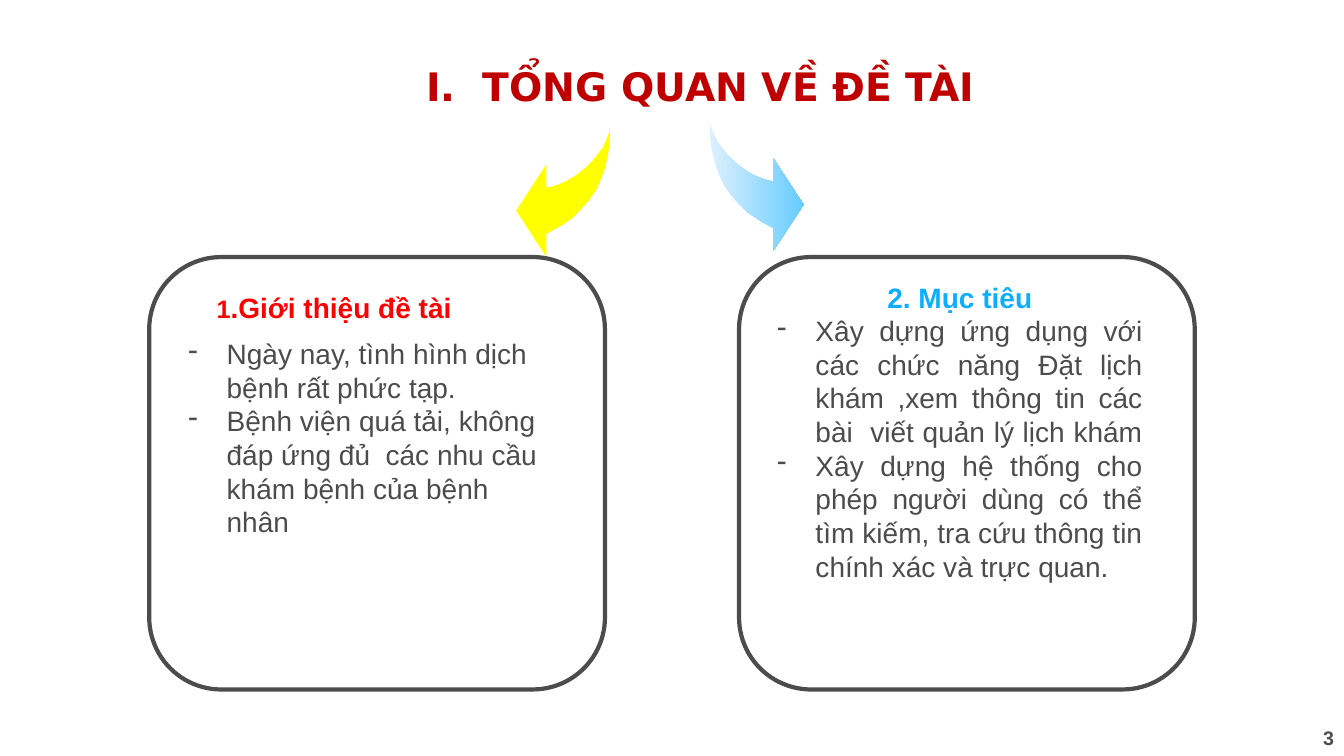
from lxml import etree
from pptx import Presentation
from pptx.dml.color import RGBColor
from pptx.enum.shapes import MSO_SHAPE
from pptx.enum.text import PP_ALIGN
from pptx.oxml.ns import qn
from pptx.util import Emu, Pt

LEFT, CENTER, RIGHT, JUSTIFY = PP_ALIGN.LEFT, PP_ALIGN.CENTER, PP_ALIGN.RIGHT, PP_ALIGN.JUSTIFY
ROUNDED = MSO_SHAPE.ROUNDED_RECTANGLE
PX = 9144  # 100 px to the inch
GREY, RED, DARK_RED, BLUE, YELLOW = "4C4C4C", "FF0000", "C00000", "0DAEFF", "FFFF00"

# Content
TITLE = "TỔNG QUAN VỀ ĐỀ TÀI"
PAGE_NUMBER = "3"
INTRO_HEADING = [("1", 18), (".Giới thiệu đề tài", 20)]
INTRO = [
    "Ngày nay, tình hình dịch bệnh rất phức tạp.",
    "Bệnh viện quá tải, không đáp ứng đủ  các nhu cầu khám bệnh của bệnh nhân",
]
GOALS_HEADING = [("2. Mục tiêu", 20)]
GOALS = [
    "Xây dựng ứng dụng với các chức năng Đặt lịch khám ,xem thông tin các bài  viết quản lý lịch khám ",
    "Xây dựng hệ thống cho phép người dùng có thể tìm kiếm, tra cứu thông tin chính xác và trực quan.",
]
PANELS = [(148, 255, 452, 429), (733, 255, 452, 429)]

# Arrow outline, measured outwards and down from the tail
ARROW = [
    (0, 0), (0, 14), (2, 28), (5, 41), (9, 52), (14, 63), (21, 73), (29, 82),
    (38, 91), (50, 99), (63, 106), (63, 129), (93, 83), (63, 37), (63, 60),
    (57, 59), (51, 57), (44, 54), (37, 50), (30, 45), (24, 40), (17, 33),
    (12, 27), (7, 20), (4, 13), (1, 6),
]
ARROWS = [(605, 126, -1, [YELLOW]), (704, 120, 1, ["DDF0FF", "66CCFF"])]


def rgb(color):
    return RGBColor.from_string(color)


def box(*lengths):
    return [Emu(length * PX) for length in lengths]


def add_text_frame(position, wrap=True):
    text_frame = slide.shapes.add_textbox(*box(*position)).text_frame
    text_frame.word_wrap = wrap
    return text_frame


def style(paragraph, color, size, bold=False, align=LEFT, font="Arial"):
    paragraph.alignment = align
    paragraph.font.name = font
    paragraph.font.size = Pt(size)
    paragraph.font.bold = bold
    paragraph.font.color.rgb = rgb(color)


def add_bullet(paragraph, indent, tag, **attributes):
    properties = paragraph._p.get_or_add_pPr()
    properties.set("marL", str(indent * PX))
    properties.set("indent", str(-indent * PX))
    bullet = etree.Element(qn(tag), **attributes)
    properties.insert_element_before(bullet, "a:tabLst", "a:defRPr", "a:extLst")


def add_heading(paragraph, pieces, color, align):
    style(paragraph, color, 20, True, align)
    for text, size in pieces:
        run = paragraph.add_run()
        run.text = text
        run.font.size = Pt(size)


def add_items(paragraphs, items, align):
    for paragraph, item in zip(paragraphs, items):
        paragraph.text = item
        style(paragraph, GREY, 20, align=align)
        add_bullet(paragraph, 38, "a:buChar", char="-")


presentation = Presentation()
presentation.slide_width, presentation.slide_height = box(1333, 750)
slide = presentation.slides.add_slide(presentation.slide_layouts[6])

# Page number and title
paragraph = add_text_frame((1022, 715, 311, 20)).paragraphs[0]
paragraph.text = PAGE_NUMBER
style(paragraph, GREY, 14, True, RIGHT)

paragraph = add_text_frame((413, 57, 580, 57), wrap=False).paragraphs[0]
paragraph.text = TITLE
style(paragraph, DARK_RED, 28, True, font="DejaVu Sans")
add_bullet(paragraph, 56, "a:buAutoNum", type="romanUcPeriod")

# Curved arrows
for tail_x, tail_y, direction, colors in ARROWS:
    points = [(tail_x + direction * x, tail_y + y) for x, y in ARROW]
    builder = slide.shapes.build_freeform(*points[0], scale=PX)
    builder.add_line_segments(points[1:], close=True)
    arrow = builder.convert_to_shape()
    arrow.shadow.inherit = False
    arrow.line.fill.background()
    if len(colors) == 1:
        arrow.fill.solid()
        arrow.fill.fore_color.rgb = rgb(colors[0])
    else:
        arrow.fill.gradient()
        arrow.fill.gradient_angle = 0
        for stop, color in zip(arrow.fill.gradient_stops, colors):
            stop.color.rgb = rgb(color)

# Panel outlines
for position in PANELS:
    panel = slide.shapes.add_shape(ROUNDED, *box(*position))
    panel.shadow.inherit = False
    panel.fill.background()
    panel.line.color.rgb = rgb(GREY)
    panel.line.width = Pt(3)

# Introduction
heading_frame = add_text_frame((205, 283, 329, 44))
add_heading(heading_frame.paragraphs[0], INTRO_HEADING, RED, LEFT)
intro_frame = add_text_frame((177, 329, 384, 212))
intro_paragraphs = [intro_frame.paragraphs[0], intro_frame.add_paragraph()]
add_items(intro_paragraphs, INTRO, LEFT)

# Goals
goals_frame = add_text_frame((761, 273, 382, 313))
add_heading(goals_frame.paragraphs[0], GOALS_HEADING, BLUE, CENTER)
add_items([goals_frame.add_paragraph() for _ in GOALS], GOALS, JUSTIFY)

presentation.save("out.pptx")
